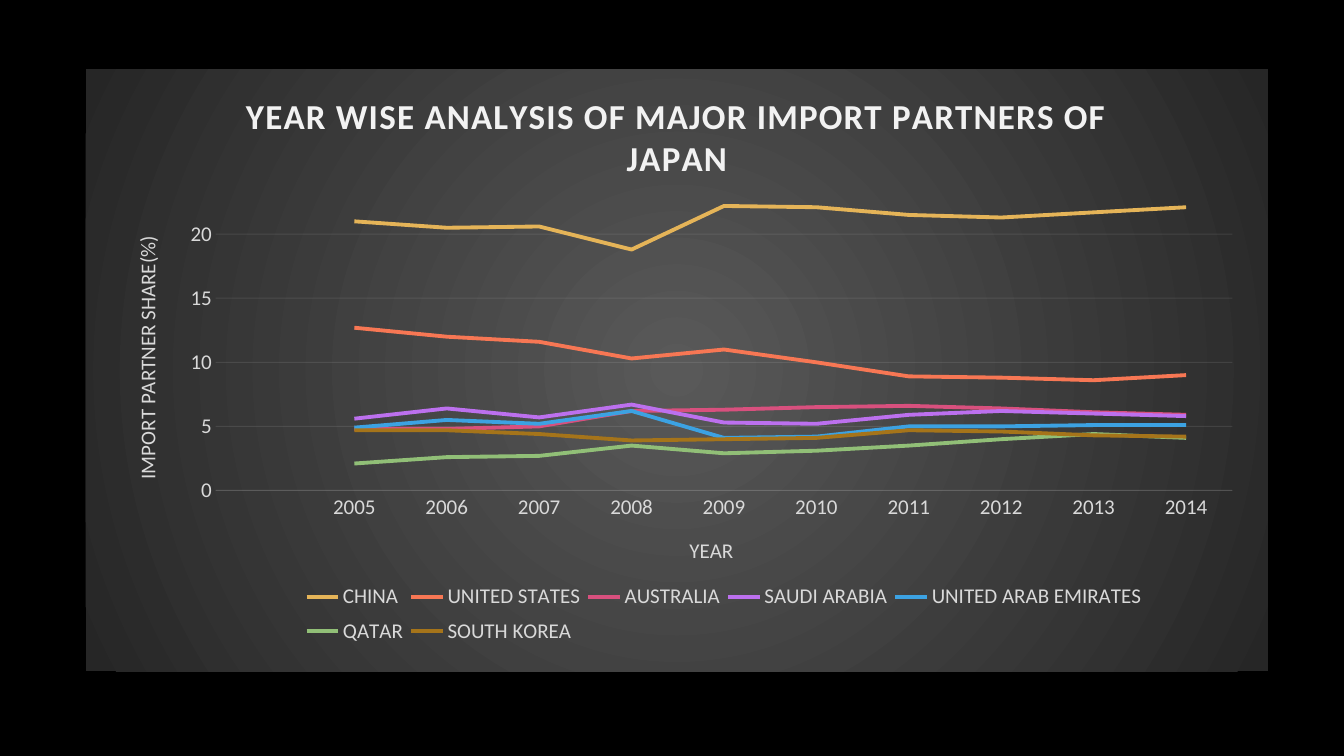
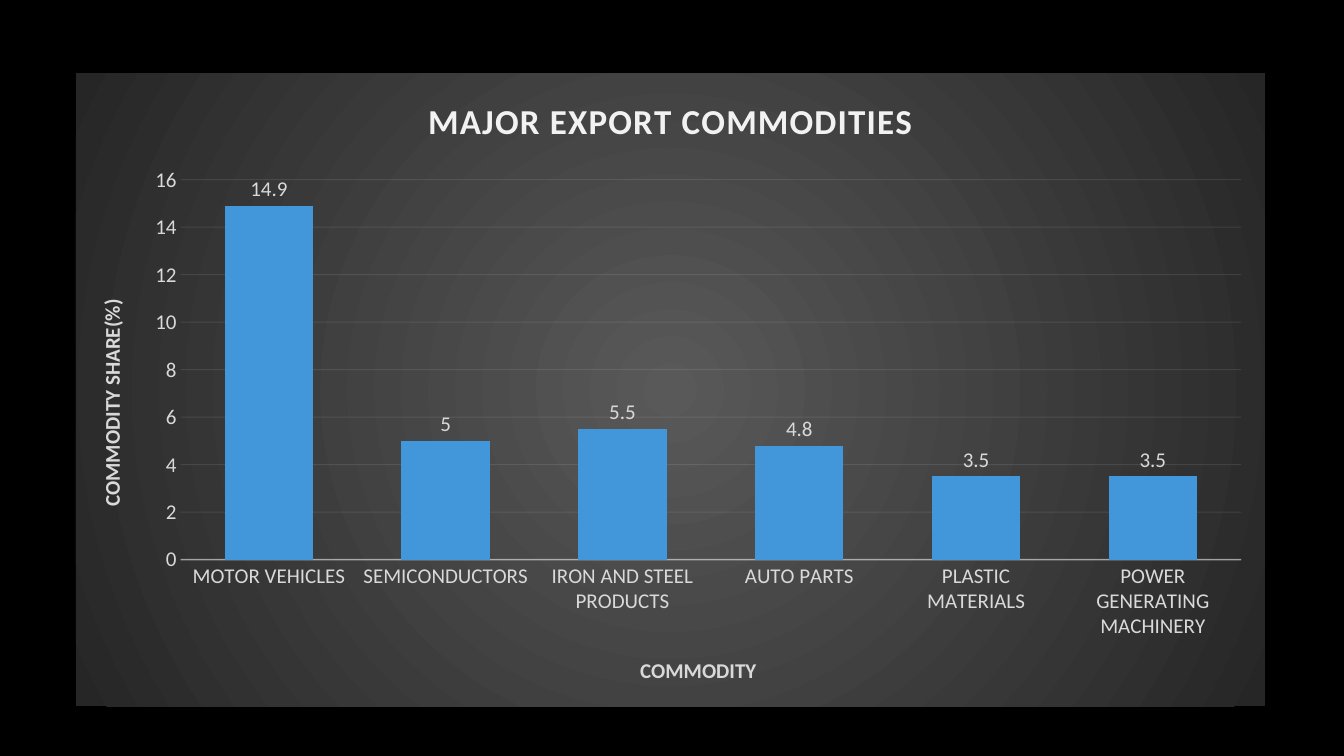
import pptx
import pptx.chart.data
import pptx.dml.color
import pptx.enum.chart
import pptx.oxml
import pptx.oxml.ns
import pptx.util
from pptx.util import Cm

FONT = "Calibri"
LABEL_SIZE = 15
COLORS = {
    "background": "000000",
    "base": "FFFFFF",
    "title": "F2F2F2",
    "label": "D9D9D9",
    "axis": "F2F2F2",
    "panel_center": "595959",
    "panel_edge": "262626",
    "column": "4296DA",
    "CHINA": "E5B458",
    "UNITED STATES": "F77754",
    "AUSTRALIA": "D8507E",
    "SAUDI ARABIA": "BC70EE",
    "UNITED ARAB EMIRATES": "3CA2E2",
    "QATAR": "91BF77",
    "SOUTH KOREA": "A5741A",
}

YEARS = [""] + [str(year) for year in range(2005, 2015)]
IMPORT_SHARES = {
    "CHINA": (None, 21, 20.5, 20.6, 18.8, 22.2, 22.1, 21.5, 21.3, 21.7, 22.1),
    "UNITED STATES": (None, 12.7, 12, 11.6, 10.3, 11, 10, 8.9, 8.8, 8.6, 9),
    "AUSTRALIA": (None, 4.8, 4.8, 5, 6.2, 6.3, 6.5, 6.6, 6.4, 6.1, 5.9),
    "SAUDI ARABIA": (None, 5.6, 6.4, 5.7, 6.7, 5.3, 5.2, 5.9, 6.2, 6, 5.8),
    "UNITED ARAB EMIRATES": (None, 4.9, 5.5, 5.2, 6.2, 4.1, 4.2, 5, 5, 5.1, 5.1),
    "QATAR": (None, 2.1, 2.6, 2.7, 3.5, 2.9, 3.1, 3.5, 4, 4.4, 4.1),
    "SOUTH KOREA": (None, 4.7, 4.7, 4.4, 3.9, 4, 4.1, 4.7, 4.6, 4.3, 4.2),
}
EXPORT_SHARES = {
    "MOTOR VEHICLES": 14.9,
    "SEMICONDUCTORS": 5,
    "IRON AND STEEL PRODUCTS": 5.5,
    "AUTO PARTS": 4.8,
    "PLASTIC MATERIALS": 3.5,
    "POWER GENERATING MACHINERY": 3.5,
}


def rgb(name):
    return pptx.dml.color.RGBColor.from_string(COLORS[name])


def style_font(font, size, color, bold=False):
    font.name = FONT
    font.size = pptx.util.Pt(size)
    font.bold = bold
    font.color.rgb = rgb(color)


def add_title(owner, text, size, color, bold):
    """Title a chart or an axis."""
    frame = owner.chart_title.text_frame if hasattr(owner, "chart_title") \
        else owner.axis_title.text_frame
    run = frame.paragraphs[0].add_run()
    run.text = text
    style_font(run.font, size, color, bold)


def add_dark_slide(presentation):
    slide = presentation.slides.add_slide(presentation.slide_layouts[6])
    slide.background.fill.solid()
    slide.background.fill.fore_color.rgb = rgb("background")
    return slide


def fill_panel(chart):
    """Give the chart area a radial gradient without an outline."""
    panel = pptx.oxml.parse_xml(
        f'<c:spPr {pptx.oxml.ns.nsdecls("c", "a")}>'
        '<a:gradFill><a:gsLst>'
        f'<a:gs pos="0"><a:srgbClr val="{COLORS["panel_center"]}"/></a:gs>'
        f'<a:gs pos="100000"><a:srgbClr val="{COLORS["panel_edge"]}"/></a:gs>'
        '</a:gsLst><a:path path="circle">'
        '<a:fillToRect l="50000" t="50000" r="50000" b="50000"/>'
        '</a:path></a:gradFill><a:ln><a:noFill/></a:ln></c:spPr>')
    chart.element.xpath("./c:chart")[0].addnext(panel)


def set_opacity(chart, query, percent):
    for color in chart.element.xpath(query + "//a:srgbClr"):
        color.append(pptx.oxml.parse_xml(
            f'<a:alpha {pptx.oxml.ns.nsdecls("a")} val="{percent * 1000}"/>'))


def make_layout(left, top, width, height, inner=False):
    """Describe a manual layout in fractions of the chart."""
    target = '<c:layoutTarget val="inner"/>' if inner else ""
    return pptx.oxml.parse_xml(
        f'<c:layout {pptx.oxml.ns.nsdecls("c")}><c:manualLayout>{target}'
        '<c:xMode val="edge"/><c:yMode val="edge"/>'
        f'<c:x val="{left}"/><c:y val="{top}"/>'
        f'<c:w val="{width}"/><c:h val="{height}"/>'
        '</c:manualLayout></c:layout>')


def remove_layout(element):
    for layout in element.xpath("./c:layout"):
        element.remove(layout)


def place_plot(chart, *fractions):
    plot_area = chart.element.xpath("./c:chart/c:plotArea")[0]
    remove_layout(plot_area)
    plot_area.insert(0, make_layout(*fractions, inner=True))


def place_legend(chart, *fractions):
    legend = chart.element.xpath("./c:chart/c:legend")[0]
    remove_layout(legend)
    legend.xpath("./c:legendPos")[0].addnext(make_layout(*fractions))


def style_axis(axis, title, bold_title):
    axis.major_tick_mark = axis.minor_tick_mark = pptx.enum.chart.XL_TICK_MARK.NONE
    style_font(axis.tick_labels.font, LABEL_SIZE, "label")
    add_title(axis, title, LABEL_SIZE, "label", bold_title)


def add_panel_chart(slide, kind, box, data, title, axis_titles,
                    bold_axis_titles, axis_line):
    """Add a chart with the shared dark panel, title and axis styles."""
    chart = slide.shapes.add_chart(kind, *map(Cm, box), data).chart
    style_font(chart.font, 10, "base")
    fill_panel(chart)
    chart.has_legend = False
    chart.plots[0].vary_by_categories = False

    # Title with wide letter spacing
    add_title(chart, title, 25, "title", True)
    chart.element.xpath("./c:chart/c:title//a:r/a:rPr")[0].set("spc", "100")

    # Axes and gridlines
    for axis, axis_title in zip((chart.category_axis, chart.value_axis), axis_titles):
        style_axis(axis, axis_title, bold_axis_titles)
    chart.element.xpath(".//c:valAx/c:title//a:bodyPr")[0].set("rot", "-5400000")
    chart.value_axis.format.line.fill.background()
    chart.value_axis.has_major_gridlines = True
    width, opacity = axis_line
    for line, points in ((chart.category_axis.format.line, width),
                         (chart.value_axis.major_gridlines.format.line, 0.75)):
        line.color.rgb = rgb("axis")
        line.width = pptx.util.Pt(points)
    set_opacity(chart, ".//c:catAx/c:spPr", opacity)
    set_opacity(chart, ".//c:majorGridlines", 10)
    return chart


def add_import_slide(presentation):
    data = pptx.chart.data.CategoryChartData()
    data.categories = YEARS
    for country, shares in IMPORT_SHARES.items():
        data.add_series(country, shares)
    chart = add_panel_chart(
        add_dark_slide(presentation), pptx.enum.chart.XL_CHART_TYPE.LINE,
        (2.16, 1.75, 29.79, 15.16), data,
        "YEAR WISE ANALYSIS OF MAJOR IMPORT PARTNERS OF JAPAN",
        ("YEAR", "IMPORT PARTNER SHARE(%)"), False, (0.75, 10))
    axis = chart.value_axis
    axis.minimum_scale, axis.maximum_scale, axis.major_unit = 0, 23, 5
    place_plot(chart, 0.11, 0.21, 0.86, 0.49)

    # Country lines
    for series in chart.plots[0].series:
        series.smooth = False
        series.format.line.color.rgb = rgb(series.name)
        series.format.line.width = pptx.util.Pt(2.75)

    # Legend
    chart.has_legend = True
    chart.legend.position = pptx.enum.chart.XL_LEGEND_POSITION.BOTTOM
    chart.legend.include_in_layout = False
    style_font(chart.legend.font, LABEL_SIZE, "label")
    place_legend(chart, 0.18, 0.84, 0.72, 0.13)


def add_export_slide(presentation):
    data = pptx.chart.data.CategoryChartData()
    data.categories = list(EXPORT_SHARES)
    data.add_series("Series 1", EXPORT_SHARES.values())
    chart = add_panel_chart(
        add_dark_slide(presentation), pptx.enum.chart.XL_CHART_TYPE.COLUMN_CLUSTERED,
        (1.91, 1.85, 29.97, 15.95), data, "MAJOR EXPORT COMMODITIES",
        ("COMMODITY", "COMMODITY SHARE(%)"), True, (1, 54))

    # Columns and their values
    plot = chart.plots[0]
    plot.gap_width, plot.overlap = 100, -24
    fill = plot.series[0].format.fill
    fill.solid()
    fill.fore_color.rgb = rgb("column")
    plot.has_data_labels = True
    labels = plot.data_labels
    labels.show_value = True
    labels.position = pptx.enum.chart.XL_LABEL_POSITION.OUTSIDE_END
    style_font(labels.font, LABEL_SIZE, "label")


def main():
    presentation = pptx.Presentation()
    presentation.slide_width, presentation.slide_height = Cm(33.87), Cm(19.05)
    add_import_slide(presentation)
    add_export_slide(presentation)
    presentation.save("out.pptx")


if __name__ == "__main__":
    main()
